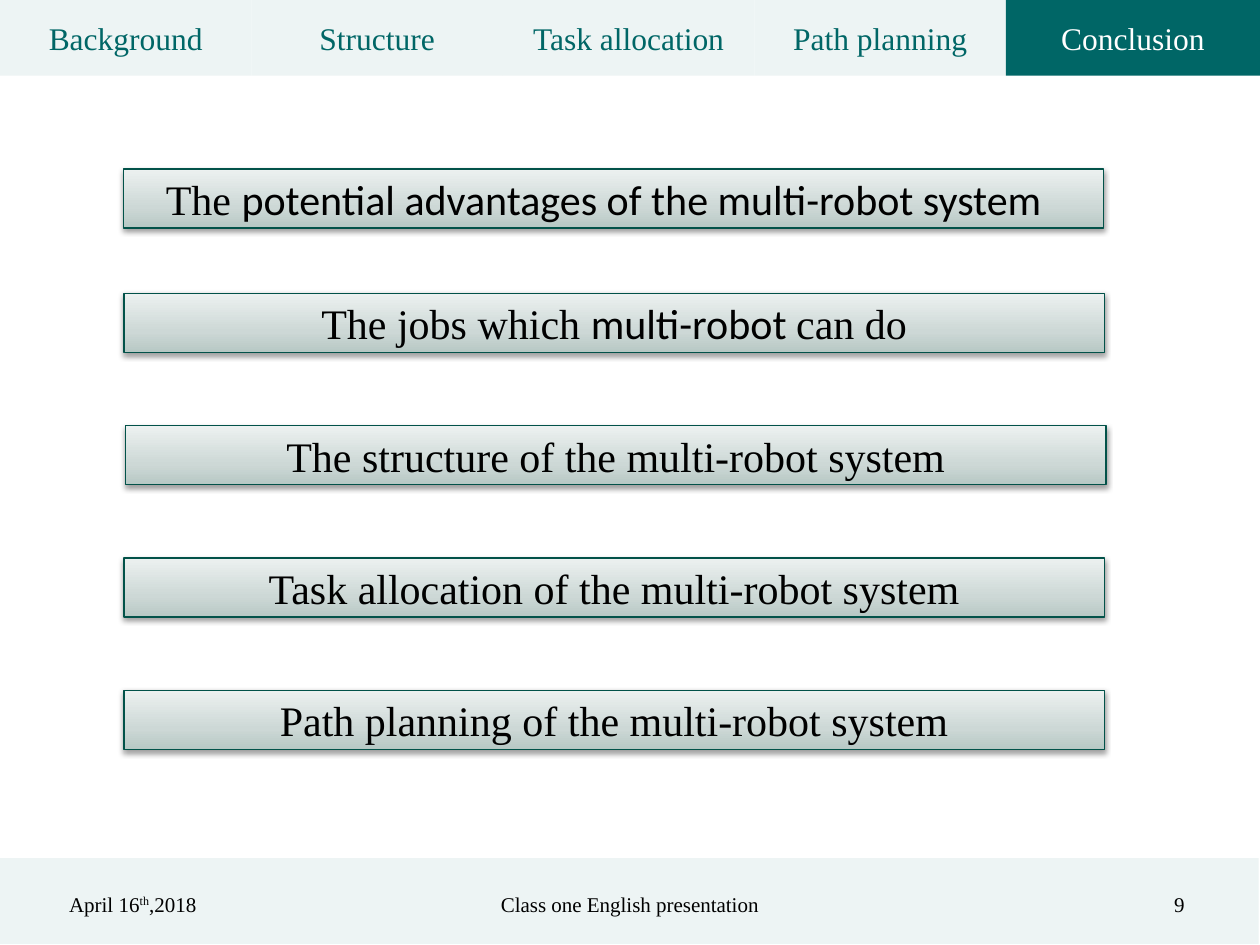
from lxml import etree
from pptx import Presentation
from pptx import util as u
from pptx.dml.color import RGBColor
from pptx.enum import shapes, text
from pptx.oxml.ns import qn

TEAL = RGBColor(0x00, 0x66, 0x66)
PALE_TEAL = RGBColor(0xED, 0xF4, 0xF4)
BAR_EDGE = RGBColor(0x02, 0x52, 0x49)
BLACK = RGBColor(0x00, 0x00, 0x00)
WHITE = RGBColor(0xFF, 0xFF, 0xFF)
BAR_STOPS = [
    (0, RGBColor(0xB7, 0xC8, 0xC4)),
    (35, RGBColor(0xCD, 0xD8, 0xD6)),
    (100, RGBColor(0xEC, 0xF1, 0xF0)),
]
SERIF, SANS = "Times New Roman", "Calibri"
LEFT, CENTER, RIGHT = text.PP_ALIGN.LEFT, text.PP_ALIGN.CENTER, text.PP_ALIGN.RIGHT

SLIDE_WIDTH, SLIDE_HEIGHT = 720, 540
TAB_PITCH, TAB_HEIGHT = 143.7, 43.2
BAR_WIDTH, BAR_HEIGHT = 560.2, 33.8


def add_color(parent, tag, color, **attributes):
    """Append an element that holds one RGB colour and return the colour."""
    holder = etree.SubElement(parent, qn(tag), **attributes)
    return etree.SubElement(holder, qn("a:srgbClr"), val=str(color))


class Deck:
    """Holds the text style and the current slide; lengths are in points."""

    def __init__(self, slide, font=SERIF):
        self.slide = slide
        self.font = font

    def add_runs(self, shape, runs, size, color, align=CENTER):
        """Fill a shape with runs given as (words, font, baseline in percent)."""
        frame = shape.text_frame
        frame.word_wrap = True
        frame.vertical_anchor = text.MSO_ANCHOR.MIDDLE
        paragraph = frame.paragraphs[0]
        paragraph.alignment = align
        for words, font, baseline in runs:
            run = paragraph.add_run()
            run.text = words
            run.font.name = font or self.font
            run.font.size = u.Pt(size)
            run.font.color.rgb = color
            if baseline:
                run.font._element.set("baseline", str(baseline * 1000))

    def block(self, left, top, width, height, fill=None):
        rect = self.slide.shapes.add_shape(
            shapes.MSO_SHAPE.RECTANGLE, u.Pt(left), u.Pt(top), u.Pt(width), u.Pt(height))
        rect.shadow.inherit = False
        if fill is not None:
            rect.fill.solid()
            rect.fill.fore_color.rgb = fill
            rect.line.fill.background()
        return rect

    def tab(self, left, width, label, active):
        tab = self.block(left, 0, width, TAB_HEIGHT, TEAL if active else PALE_TEAL)
        self.add_runs(tab, [(label, None, 0)], 18, WHITE if active else TEAL)

    def bar(self, left, top, runs, extra_right=0):
        bar = self.block(left, top, BAR_WIDTH, BAR_HEIGHT)
        bar.fill.gradient()
        bar.fill.gradient_angle = 90
        bar.line.color.rgb = BAR_EDGE
        bar.line.width = u.Pt(0.75)
        properties = bar._element.spPr
        stops = properties.find(".//" + qn("a:gsLst"))
        for stop in list(stops):
            stops.remove(stop)
        for position, color in BAR_STOPS:
            add_color(stops, "a:gs", color, pos=str(position * 1000))
        shade = add_color(
            properties.find(qn("a:effectLst")), "a:outerShdw", BLACK,
            blurRad=str(u.Pt(3.1)), dist=str(u.Pt(1.6)), dir="5400000", rotWithShape="0")
        etree.SubElement(shade, qn("a:alpha"), val="38000")
        bar.text_frame.margin_right = u.Pt(7.2 + extra_right)
        self.add_runs(bar, runs, 24, BLACK)

    def footer_text(self, left, width, runs, align):
        box = self.slide.shapes.add_textbox(u.Pt(left), u.Pt(502), u.Pt(width), u.Pt(28.8))
        self.add_runs(box, runs, 12, BLACK, align)


def main():
    prs = Presentation()
    prs.slide_width, prs.slide_height = u.Pt(SLIDE_WIDTH), u.Pt(SLIDE_HEIGHT)
    deck = Deck(prs.slides.add_slide(prs.slide_layouts[6]))

    sections = ["Background", "Structure", "Task allocation", "Path planning", "Conclusion"]
    last = len(sections) - 1
    for index, section in enumerate(sections):
        left = index * TAB_PITCH
        width = SLIDE_WIDTH - left if index == last else TAB_PITCH
        deck.tab(left, width, section, index == last)

    deck.block(-0.7, 490.3, SLIDE_WIDTH, 49, PALE_TEAL)
    deck.footer_text(632.2, 51.8, [("9", None, 0)], RIGHT)
    deck.footer_text(
        32.4, 128.9, [("April 16", None, 0), ("th", None, 30), (",2018", None, 0)], LEFT)
    deck.footer_text(187.2, 345.6, [("Class one English presentation", None, 0)], CENTER)

    advantages = [("The ", SERIF, 0),
                  ("potential advantages of the multi-robot system", SANS, 0)]
    jobs = [("The jobs which ", SERIF, 0), ("multi-robot ", SANS, 0), ("can do", SERIF, 0)]
    deck.bar(70.4, 96.6, advantages, extra_right=11)
    deck.bar(70.8, 167.6, jobs)
    topics = [("The structure", 71.8), ("Task allocation", 70.8), ("Path planning", 70.8)]
    for index, (topic, left) in enumerate(topics):
        deck.bar(left, 243.3 + index * 75.6, [(f"{topic} of the multi-robot system", SERIF, 0)])

    prs.save("out.pptx")


if __name__ == "__main__":
    main()
